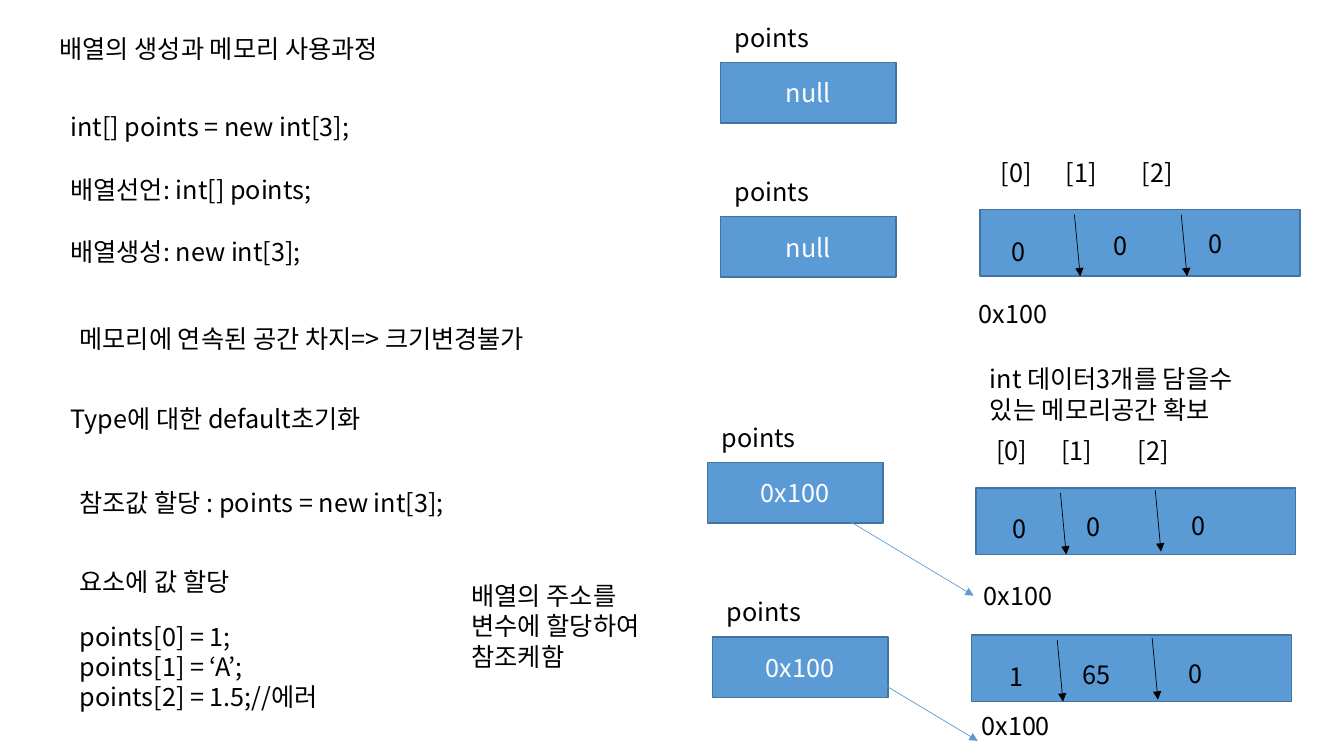
from lxml import etree
from pptx import Presentation
from pptx.dml.color import RGBColor
from pptx.enum.shapes import MSO_CONNECTOR, MSO_SHAPE
from pptx.enum.text import MSO_ANCHOR, MSO_AUTO_SIZE, PP_ALIGN
from pptx.oxml.ns import qn
from pptx.util import Pt

RECT, STRAIGHT = MSO_SHAPE.RECTANGLE, MSO_CONNECTOR.STRAIGHT
LEFT, CENTER = PP_ALIGN.LEFT, PP_ALIGN.CENTER
TOP, MIDDLE = MSO_ANCHOR.TOP, MSO_ANCHOR.MIDDLE
FIXED = MSO_AUTO_SIZE.NONE
FONT, SIZE = "Noto Sans CJK KR", 18
BLACK, WHITE, BLUE, EDGE = "000000", "FFFFFF", "5B9BD5", "43739E"
LINE_H = 29
POINTER_W, POINTER_H = 125.3, 43.2
ARRAY_W, ARRAY_H = 228.5, 47.5


def rgb(value):
    return RGBColor.from_string(value)


class Deck:
    """Holds the slide and draws its elements in one style."""

    def __init__(self, s):
        self.s = s

    def fill_text(self, tf, lines, color=BLACK, align=LEFT, anchor=TOP, tabs=()):
        tf.word_wrap = True
        tf.auto_size = FIXED
        tf.vertical_anchor = anchor
        for i, line in enumerate(lines):
            p = tf.add_paragraph() if i else tf.paragraphs[0]
            p.alignment = align
            r = p.add_run()
            r.text = line
            r.font.size = Pt(SIZE)
            r.font.name = FONT
            r.font.color.rgb = rgb(color)
            etree.SubElement(r.font._element, qn("a:ea"), typeface=FONT)
            if tabs:
                tab_list = etree.SubElement(p._p.get_or_add_pPr(), qn("a:tabLst"))
                for pos in tabs:
                    etree.SubElement(tab_list, qn("a:tab"), pos=str(Pt(pos)), algn="l")

    def title(self, x, y, w, h, text):
        sp = self.s.shapes.title
        sp.left, sp.top, sp.width, sp.height = Pt(x), Pt(y), Pt(w), Pt(h)
        self.fill_text(sp.text_frame, [text])

    def text(self, x, y, w, h, *lines, tabs=()):
        sp = self.s.shapes.add_textbox(Pt(x), Pt(y), Pt(w), Pt(h))
        self.fill_text(sp.text_frame, lines, tabs=tabs)

    def box(self, x, y, w, h, *lines):
        sp = self.s.shapes.add_shape(RECT, Pt(x), Pt(y), Pt(w), Pt(h))
        sp.shadow.inherit = False
        sp.fill.solid()
        sp.fill.fore_color.rgb = rgb(BLUE)
        sp.line.color.rgb = rgb(EDGE)
        sp.line.width = Pt(1)
        self.fill_text(sp.text_frame, lines, WHITE, CENTER, MIDDLE)

    def arrow(self, x, y, dx, dy, color):
        c = self.s.shapes.add_connector(STRAIGHT, Pt(x), Pt(y), Pt(x + dx), Pt(y + dy))
        c.line.color.rgb = rgb(color)
        c.line.width = Pt(0.5)
        etree.SubElement(c.line._get_or_add_ln(), qn("a:tailEnd"), type="triangle")
        etree.SubElement(c._element.spPr, qn("a:effectLst"))

    def pointer(self, x, y, value):
        self.box(x, y, POINTER_W, POINTER_H, value)
        self.text(x + 3, y - 32.4, 89.3, LINE_H, "points")

    def array(self, x, y, dividers, values, indexed):
        self.box(x, y, ARRAY_W, ARRAY_H)
        for dx, dy in dividers:
            self.arrow(x + dx, y + dy, 4.1, 44, BLACK)
        for dx, dy, value in values:
            self.text(x + dx, y + dy, 20 + 16 * len(value), LINE_H, value)
        if indexed:
            self.text(x + 7.6, y - 41, 208, LINE_H, "[0]\t[1]\t[2]", tabs=(46.5, 101))


prs = Presentation()
prs.slide_width, prs.slide_height = Pt(960), Pt(540)
d = Deck(prs.slides.add_slide(prs.slide_layouts[5]))

d.title(35.3, 20.2, 877, LINE_H, "배열의 생성과 메모리 사용과정")
notes = [
    (43.2, 76.3, 682, "int[] points = new int[3];"),
    (43.2, 121, 284, "배열선언: int[] points;"),
    (43.2, 165, 284, "배열생성: new int[3];"),
    (49.7, 227.5, 397, "메모리에 연속된 공간 차지=> 크기변경불가"),
    (43.2, 284.5, 404, "Type에 대한 default초기화"),
    (49.7, 344.2, 307, "참조값 할당 : points = new int[3];"),
    (49.7, 401, 298, "요소에 값 할당"),
]
for x, y, w, line in notes:
    d.text(x, y, w, LINE_H, line)
d.text(49.7, 440, 227, 73, "points[0] = 1;", "points[1] = ‘A’;", "points[2] = 1.5;//에러")

pointers = [
    (514.8, 44.6, "null"),
    (514.8, 154.8, "null"),
    (505.4, 330.5, "0x100"),
    (509, 455, "0x100"),
]
for pointer in pointers:
    d.pointer(*pointer)

arrays = [
    (700, 149.8, [(67.5, 3.6), (143.8, 3.6)],
     [(15.8, 15.1, "0"), (88.6, 10.8, "0"), (156.2, 9.4, "0")], True),
    (697, 348.5, [(60.5, 3.6), (128.2, 1.5)],
     [(19.4, 14.4, "0"), (72, 13, "0"), (146.9, 12.2, "0")], True),
    (694, 453.6, [(61.2, 3.6), (129, 2.2)],
     [(20.2, 15.1, "1"), (72, 13.7, "65"), (147.6, 13, "0")], False),
]
for array in arrays:
    d.array(*array)

for x, y in [(692, 209.5), (695.5, 411), (694, 504)]:
    d.text(x, y, 85, LINE_H, "0x100")
for x, y in [(587.5, 360.7), (590.4, 464.4)]:
    d.arrow(x, y, 108, 64.8, BLUE)

d.text(700, 256.3, 215.3, 51, "int 데이터3개를 담을수 있는 메모리공간 확보")
d.text(329.8, 411, 139, 73, "배열의 주소를 변수에 할당하여 참조케함")

prs.save("out.pptx")
